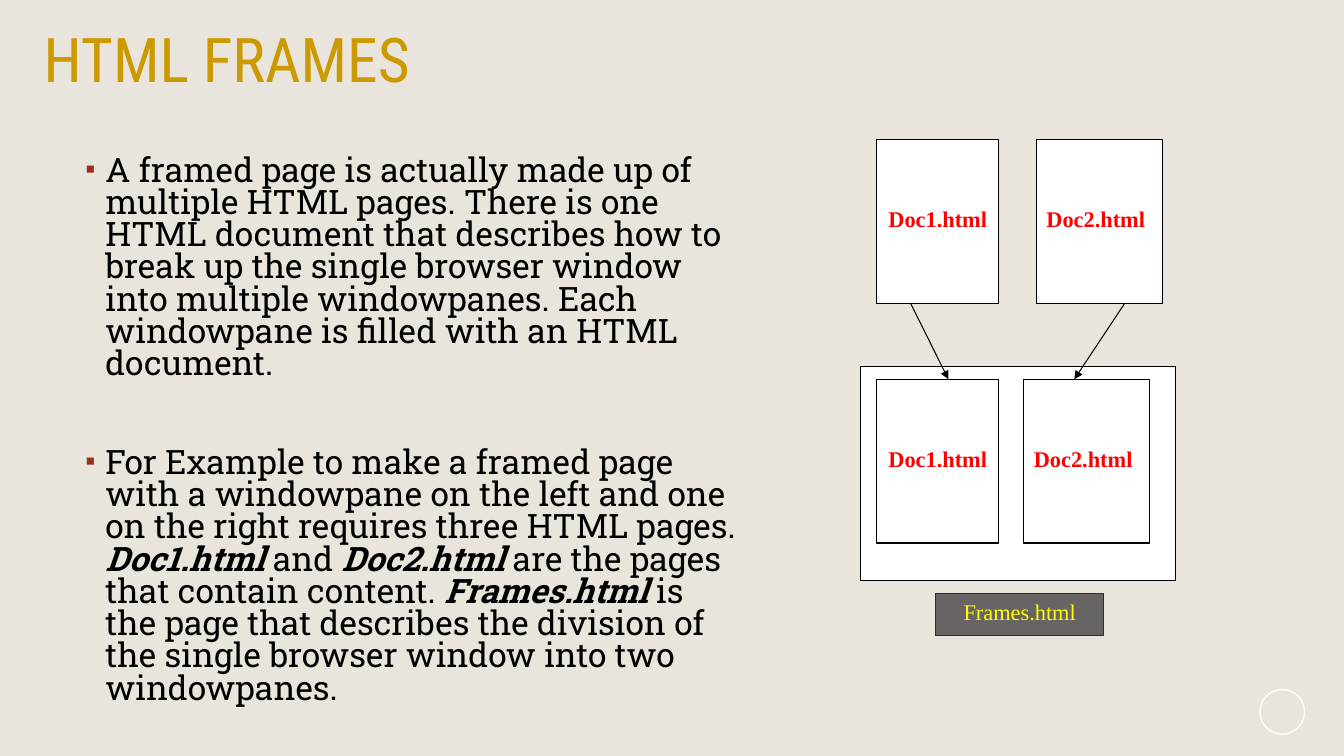
from dataclasses import dataclass

from lxml.etree import SubElement
from pptx import Presentation
from pptx.dml.color import RGBColor
from pptx.enum.shapes import MSO_CONNECTOR as Connector, MSO_SHAPE as Preset
from pptx.enum.text import MSO_ANCHOR as Anchor, MSO_AUTO_SIZE as AutoSize, PP_ALIGN as Align
from pptx.oxml.ns import qn
from pptx.util import Inches, Pt


@dataclass(frozen=True)
class Theme:
    background: str = "E9E5DC"
    gold: str = "CC9900"
    bullet: str = "9B2D1F"
    ink: str = "000000"
    paper: str = "FFFFFF"
    label: str = "FF0000"
    caption_fill: str = "696464"
    caption_line: str = "990000"
    caption_text: str = "FFFF00"
    title_font: str = "Roboto Condensed"
    body_font: str = "Roboto Slab"
    label_font: str = "Times New Roman"
    title_size: int = 44
    body_size: int = 24
    label_size: int = 16
    line_width: float = 0.75


class SlideBuilder:
    """Draws themed elements on one slide, measured on a 160 by 90 grid."""

    COLUMNS, ROWS = 160, 90

    def __init__(self, presentation, theme):
        self.theme = theme
        self.column = presentation.slide_width / self.COLUMNS
        self.row = presentation.slide_height / self.ROWS
        self.slide = presentation.slides.add_slide(presentation.slide_layouts[1])
        fill = self.slide.background.fill
        fill.solid()
        fill.fore_color.rgb = RGBColor.from_string(theme.background)

    def measure(self, *pairs):
        return [round(value * unit) for pair in pairs
                for value, unit in zip(pair, (self.column, self.row))]

    def style(self, font, name, size, color, bold=None):
        font.name, font.size, font.bold = name, Pt(size), bold
        font.color.rgb = RGBColor.from_string(color)

    def place(self, shape, position, size):
        shape.left, shape.top, shape.width, shape.height = self.measure(position, size)
        frame = shape.text_frame
        frame.word_wrap, frame.auto_size = True, AutoSize.NONE
        frame.vertical_anchor = Anchor.TOP
        return frame

    def title(self, text, position, size):
        frame = self.place(self.slide.shapes.title, position, size)
        frame.text = text
        paragraph = frame.paragraphs[0]
        paragraph.alignment, paragraph.line_spacing = Align.LEFT, 0.9
        self.style(paragraph.font, self.theme.title_font, self.theme.title_size, self.theme.gold)

    def bullets(self, items, position, size, gap):
        frame = self.place(self.slide.placeholders[1], position, size)
        for index, pieces in enumerate(items):
            paragraph = frame.add_paragraph() if index else frame.paragraphs[0]
            paragraph.line_spacing = 0.8
            paragraph.space_before = Pt(gap if index else 0)
            properties = paragraph._p.get_or_add_pPr()
            properties.set("marL", str(Inches(0.2)))
            properties.set("indent", str(Inches(-0.2)))
            color = SubElement(properties, qn("a:buClr"))
            SubElement(color, qn("a:srgbClr"), val=self.theme.bullet)
            SubElement(properties, qn("a:buSzPct"), val="85000")
            SubElement(properties, qn("a:buChar"), char="▪")
            self.style(paragraph.font, self.theme.body_font, self.theme.body_size, self.theme.ink)
            for text, strong in pieces:
                run = paragraph.add_run()
                run.text = text
                if strong:
                    run.font.bold = run.font.italic = True

    def shape(self, position, size, line, fill=None, preset=Preset.RECTANGLE, width=None):
        shape = self.slide.shapes.add_shape(preset, *self.measure(position, size))
        shape.shadow.inherit = False
        if fill:
            shape.fill.solid()
            shape.fill.fore_color.rgb = RGBColor.from_string(fill)
        else:
            shape.fill.background()
        shape.line.color.rgb = RGBColor.from_string(line)
        shape.line.width = Pt(width or self.theme.line_width)
        return shape

    def label(self, shape, text, color, alignment=Align.CENTER, bold=None):
        frame = shape.text_frame
        frame.text, frame.vertical_anchor = text, Anchor.MIDDLE
        frame.margin_bottom = Inches(0.11)
        paragraph = frame.paragraphs[0]
        paragraph.alignment = alignment
        self.style(paragraph.font, self.theme.label_font, self.theme.label_size, color, bold)

    def document(self, text, position, size, alignment):
        page = self.shape(position, size, self.theme.ink, self.theme.paper)
        self.label(page, text, self.theme.label, alignment, True)

    def arrow(self, start, end):
        arrow = self.slide.shapes.add_connector(Connector.STRAIGHT, *self.measure(start, end))
        arrow.line.color.rgb = RGBColor.from_string(self.theme.ink)
        arrow.line.width = Pt(self.theme.line_width)
        SubElement(arrow.line._get_or_add_ln(), qn("a:tailEnd"), type="triangle")
        SubElement(arrow._element.spPr, qn("a:effectLst"))


def main():
    presentation = Presentation()
    presentation.slide_width, presentation.slide_height = Inches(13.33), Inches(7.5)
    theme = Theme()
    builder = SlideBuilder(presentation, theme)

    builder.shape((150, 82.1), (5.3, 5.3), theme.paper, preset=Preset.OVAL, width=1)
    builder.title("HTML FRAMES", (4, 2.9), (106, 11.8))
    builder.bullets([
        [("A framed page is actually made up of multiple HTML pages. There is one HTML "
          "document that describes how to break up the single browser window into multiple "
          "windowpanes. Each windowpane is filled with an HTML document.", False)],
        [("For Example to make a framed page with a windowpane on the left and one on the "
          "right requires three HTML pages. ", False),
         ("Doc1.html", True), (" and ", False), ("Doc2.html ", True),
         ("are the pages that contain content. ", False), ("Frames.html ", True),
         ("is the page that describes the division of the single browser window into two "
          "windowpanes.", False)],
    ], (8.95, 18), (80.4, 54), gap=47.5)

    builder.shape((102.4, 43.65), (37.5, 25.45), theme.ink, theme.paper)
    page_height, source_top, pane_top = 19.5, 16.6, 45.15
    for top, second_left in ((source_top, 123.4), (pane_top, 121.9)):
        builder.document("Doc1.html", (104.4, top), (14.5, page_height), Align.CENTER)
        builder.document("Doc2.html", (second_left, top), (15, page_height), Align.LEFT)
    for start, end in ((108.4, 112.9), (133.9, 127.9)):
        builder.arrow((start, source_top + page_height), (end, pane_top))

    caption = builder.shape((111.4, 70.7), (20, 5), theme.caption_line, theme.caption_fill)
    builder.label(caption, "Frames.html", theme.caption_text)
    presentation.save("out.pptx")


if __name__ == "__main__":
    main()
